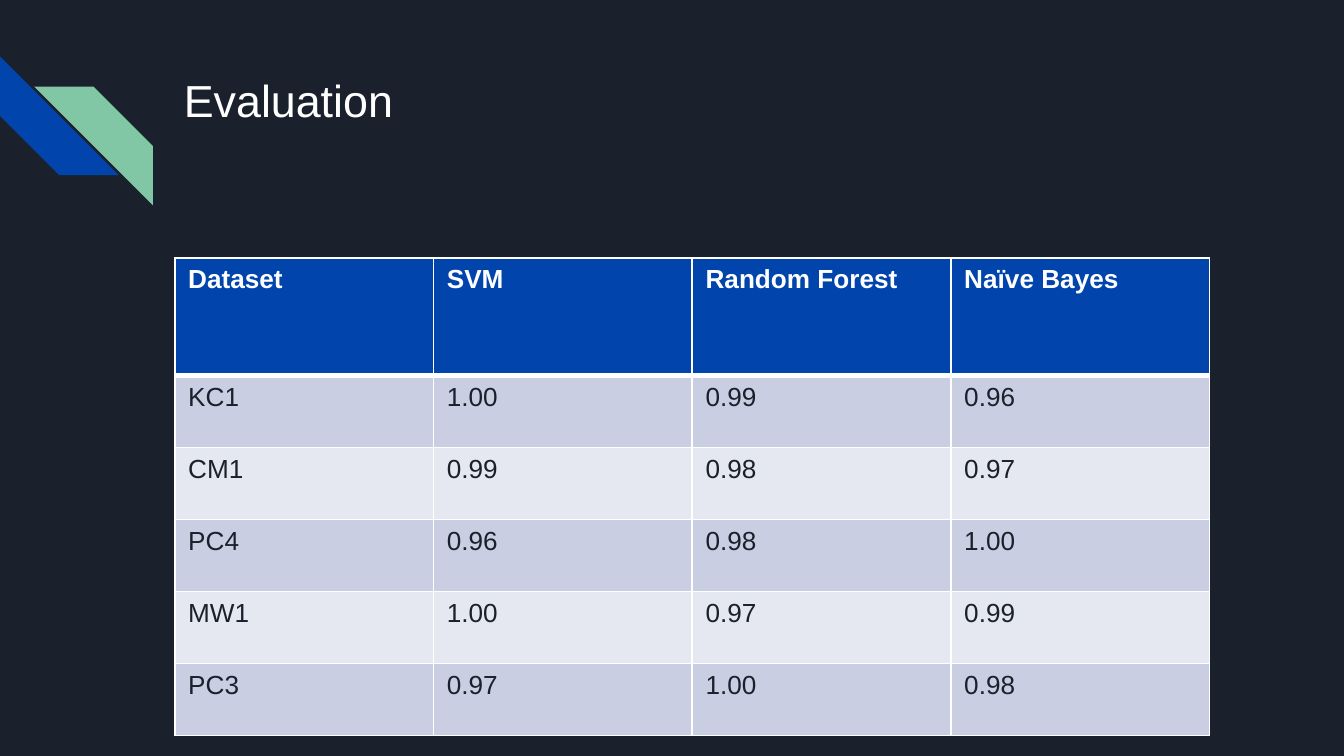
from lxml.etree import SubElement
from pptx import Presentation
from pptx.dml.color import RGBColor
from pptx.enum.shapes import MSO_SHAPE
from pptx.enum.text import MSO_ANCHOR
from pptx.oxml.ns import qn
from pptx.util import Inches, Pt

NIGHT = RGBColor(0x1B, 0x21, 0x2C)
BLUE = RGBColor(0x01, 0x45, 0xAC)
GREEN = RGBColor(0x82, 0xC7, 0xA5)
WHITE = RGBColor(0xFF, 0xFF, 0xFF)
BANDS = [RGBColor(0xCA, 0xCE, 0xE2), RGBColor(0xE6, 0xE8, 0xF1)]

RESULTS = [
    ["Dataset", "SVM", "Random Forest", "Naïve Bayes"],
    ["KC1", "1.00", "0.99", "0.96"],
    ["CM1", "0.99", "0.98", "0.97"],
    ["PC4", "0.96", "0.98", "1.00"],
    ["MW1", "1.00", "0.97", "0.99"],
    ["PC3", "0.97", "1.00", "0.98"],
]


def add_span(para, text, size, color, bold=False):
    span = para.add_run()
    span.text = text
    span.font.name = "Arial"
    span.font.size = Pt(size)
    span.font.bold = bold
    span.font.color.rgb = color


def add_border(cell, side, points):
    line = SubElement(cell._tc.get_or_add_tcPr(), qn(f"a:{side}"), w=str(Pt(points)))
    fill = SubElement(line, qn("a:solidFill"))
    SubElement(fill, qn("a:srgbClr"), val=str(WHITE))


deck = Presentation()
deck.slide_width = Inches(10)
deck.slide_height = deck.slide_width * 9 // 16
page = deck.slides.add_slide(deck.slide_layouts[6])
page.background.fill.solid()
page.background.fill.fore_color.rgb = NIGHT

# One hundredth of the slide's width is the unit for all lengths
unit = deck.slide_width // 100

# Two diagonal stripes at the left edge
for left, top, turn, color in [(0, 4.2, 270, BLUE), (2.54, 6.44, 90, GREEN)]:
    stripe = page.shapes.add_shape(
        MSO_SHAPE.DIAGONAL_STRIPE,
        int(left * unit), int(top * unit), int(8.83 * unit), int(8.83 * unit))
    stripe.rotation = turn
    stripe.shadow.inherit = False
    stripe.fill.solid()
    stripe.fill.fore_color.rgb = color
    stripe.line.fill.background()

# Title
box = page.shapes.add_textbox(
    int(12.7 * unit), int(4.4 * unit), 77 * unit, int(9.2 * unit))
frame = box.text_frame
frame.word_wrap = True
frame.vertical_anchor = MSO_ANCHOR.TOP
frame.margin_left = frame.margin_right = unit
frame.margin_top = frame.margin_bottom = unit
add_span(frame.paragraphs[0], "Evaluation", 24, WHITE)
frame.paragraphs[0].add_line_break()

# Results table: equal columns, a tall header and equal body rows
column_width, header_height, row_height = 19.25 * unit, 8.75 * unit, 5.36 * unit
body_rows = len(RESULTS) - 1
table = page.shapes.add_table(
    len(RESULTS), len(RESULTS[0]), 13 * unit, int(19.2 * unit),
    int(column_width * len(RESULTS[0])),
    int(header_height + row_height * body_rows)).table
for column in table.columns:
    column.width = int(column_width)

for r, values in enumerate(RESULTS):
    header = r == 0
    table.rows[r].height = int(header_height if header else row_height)
    for c, value in enumerate(values):
        cell = table.cell(r, c)
        add_span(cell.text_frame.paragraphs[0], value, 14,
                 WHITE if header else NIGHT, bold=header)
        # A thick rule parts the header from the body
        add_border(cell, "lnL", 1)
        add_border(cell, "lnR", 1)
        add_border(cell, "lnT", 3 if r == 1 else 1)
        add_border(cell, "lnB", 3 if header else 1)
        cell.fill.solid()
        cell.fill.fore_color.rgb = BLUE if header else BANDS[(r - 1) % 2]

deck.save("out.pptx")
